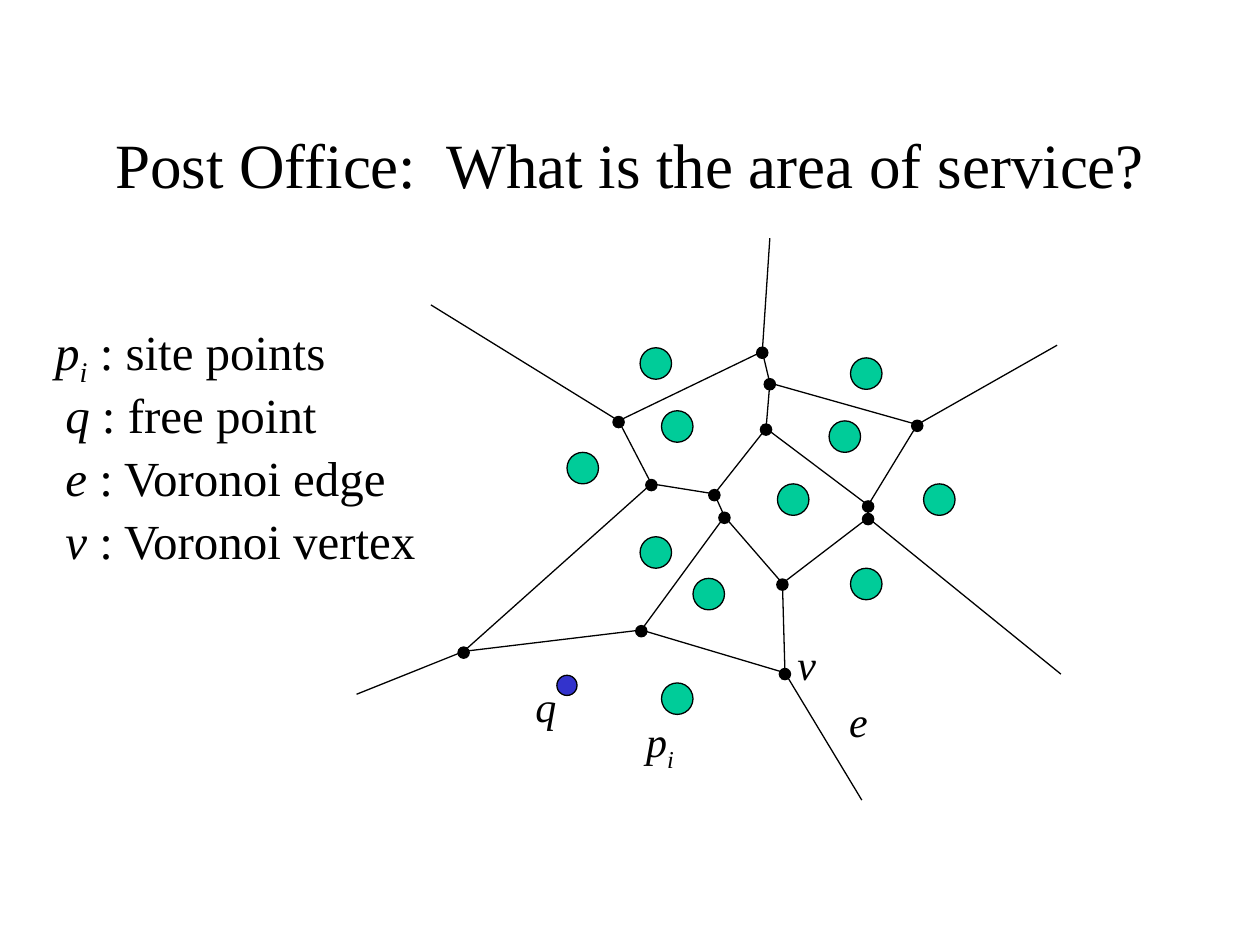
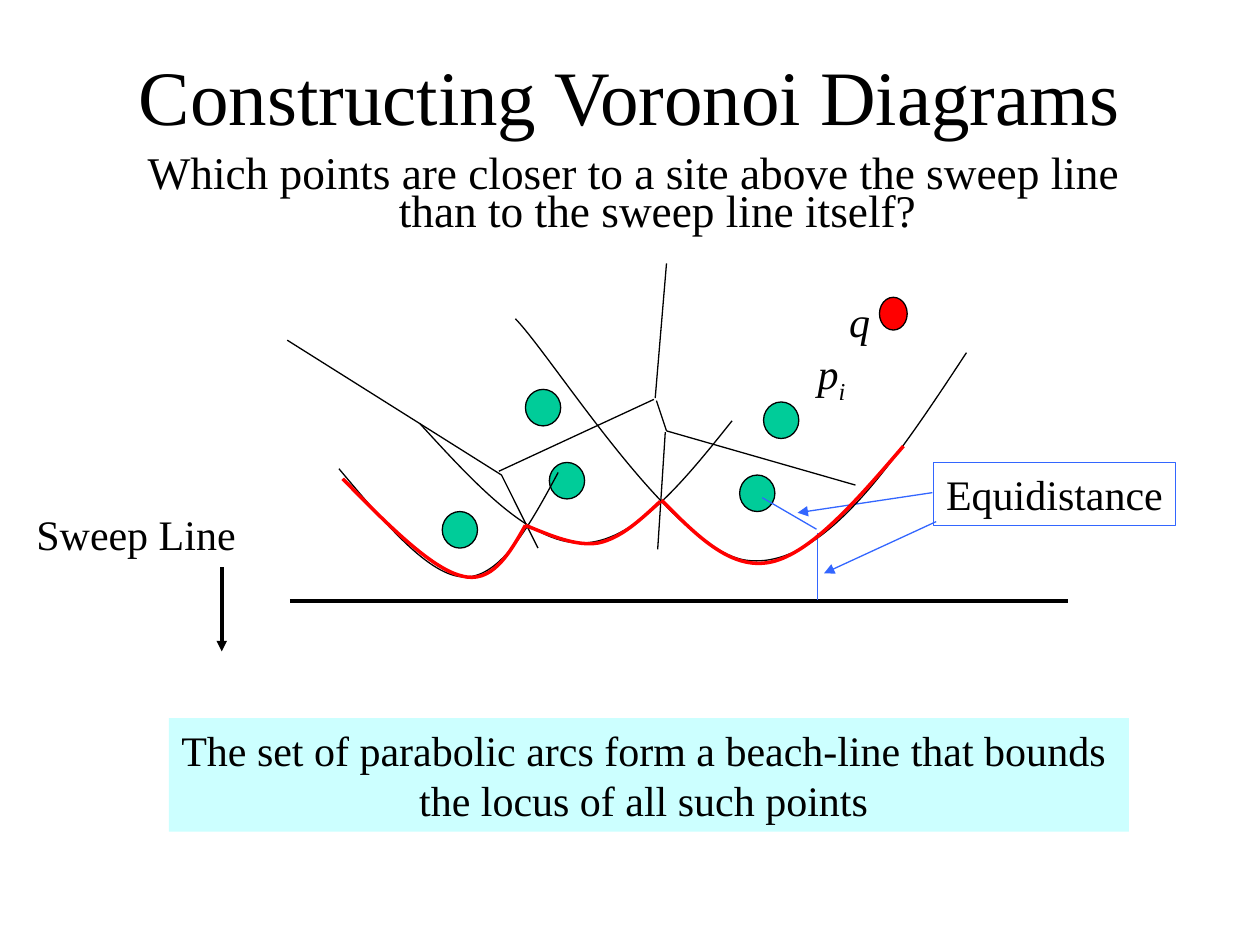
from pptx import Presentation
from pptx.dml.color import RGBColor
from pptx.enum.shapes import MSO_CONNECTOR, MSO_SHAPE
from pptx.enum.text import MSO_ANCHOR, MSO_AUTO_SIZE, PP_ALIGN
from pptx.oxml.ns import qn
from pptx.util import Inches, Pt
from lxml import etree

LINE, OVAL = MSO_CONNECTOR.STRAIGHT, MSO_SHAPE.OVAL
LEFT, MID = PP_ALIGN.LEFT, PP_ALIGN.CENTER
TOP, CENTER = MSO_ANCHOR.TOP, MSO_ANCHOR.MIDDLE
GROW, FIXED = MSO_AUTO_SIZE.SHAPE_TO_FIT_TEXT, MSO_AUTO_SIZE.NONE
FONT = "Times New Roman"
COLORS = {"ink": "000000", "site": "00CC99", "free": "3333CC", "beach": "FF0000",
          "note": "3366FF", "band": "CCFFFF"}

VERTS = {
    "a": (3.25, 0.99), "b": (3.31, 1.24), "c": (3.28, 1.6), "d": (2.87, 2.12),
    "f": (2.95, 2.3), "g": (3.41, 2.83), "h": (4.09, 2.31), "i": (4.09, 2.21),
    "j": (2.11, 1.54), "k": (2.37, 2.04), "l": (0.88, 3.37), "m": (2.29, 3.2),
    "n": (3.43, 3.54), "o": (4.48, 1.57),
}
ENDS = {"P": (0.62, 0.62), "Q": (0.03, 3.71), "R": (4.04, 4.55),
        "S": (5.62, 3.55), "T": (5.59, 0.94), "U": (3.31, 0.09)}
EDGES = "ab bc cd df fg gh hi ic Pj jk kl lQ lm mf kd mn ng ja nR hS bo io oT aU"
SITES = [(2.45, 3.62), (2.7, 2.79), (3.37, 2.04), (3.95, 2.71), (4.53, 2.04), (3.78, 1.54),
         (3.95, 1.04), (2.28, 2.46), (1.7, 1.79), (2.45, 1.46), (2.28, 0.96)]

RAYS = [((3.09, 1.42), (3.01, 1.18)), ((0.08, 0.7), (1.78, 1.77)), ((1.78, 1.77), (2.07, 2.35)),
        ((3.02, 2.36), (3.08, 1.43)), ((1.76, 1.74), (2.99, 1.17)), ((3.09, 1.42), (4.59, 1.85)),
        ((3, 1.16), (3.09, 0.09))]
SPOTS = [(3.67, 1.77), (3.86, 1.19), (1.31, 2.06), (2.16, 1.67), (1.97, 1.09)]
ARCS = [
    [(0.49, 1.72), (0.85, 2.15), (1.21, 2.58), (1.49, 2.58), (1.78, 2.58), (2.01, 2.16), (2.23, 1.75)],
    [(5.47, 0.8), (4.91, 1.65), (4.35, 2.5), (3.75, 2.45), (3.16, 2.41), (2.2, 0.85), (1.89, 0.53)],
    [(1.13, 1.36), (1.57, 1.84), (2, 2.31), (2.41, 2.31), (2.83, 2.31), (3.22, 1.83), (3.61, 1.34)],
]
BEACH = [
    [(3.05, 1.97), (3.33, 2.25), (3.6, 2.53), (3.92, 2.46), (4.24, 2.39), (4.61, 1.96), (4.97, 1.54)],
    [(0.52, 1.8), (0.87, 2.16), (1.22, 2.51), (1.46, 2.57), (1.7, 2.64), (1.84, 2.4), (1.97, 2.17)],
    [(1.97, 2.17), (2.17, 2.25), (2.37, 2.34), (2.55, 2.31), (2.73, 2.27), (2.88, 2.13), (3.04, 1.98)],
]
SPANS = [((3.85, 1.95), (4.28, 2.2)), ((4.29, 2.23), (4.29, 2.76))]
HINTS = [((5.2, 1.91), (4.13, 2.07)), ((5.23, 2.14), (4.34, 2.55))]


def color(name):
    """Return a named colour."""
    return RGBColor.from_string(COLORS[name])


def shift(box, point):
    """Move a point from the box to the slide."""
    return box[0] + point[0], box[1] + point[1]


def stroke(shape, name, width=0.75):
    """Set the outline."""
    shape.line.color.rgb = color(name)
    shape.line.width = Pt(width)


def text(slide, box, runs, size=24, align=LEFT, wrap=False, anchor=TOP, fit=GROW):
    """Add one paragraph of (words, style) runs: i italic, s subscript, b break."""
    shape = slide.shapes.add_textbox(*map(Inches, box))
    frame = shape.text_frame
    frame.word_wrap, frame.auto_size, frame.vertical_anchor = wrap, fit, anchor
    para = frame.paragraphs[0]
    para.alignment = align
    for words, style in runs:
        if "b" in style:
            para.add_line_break()
        run = para.add_run()
        run.text = words
        run.font.name, run.font.size = FONT, Pt(size)
        run.font.color.rgb = color("ink")
        run.font.italic = "i" in style
        if "s" in style:
            run.font._element.set("baseline", "-25000")
    return shape


def title(slide, box, words, size):
    """Add the slide title."""
    text(slide, box, [(words, "")], size, MID, True, CENTER, FIXED)


def dot(slide, box, point, wide, high, fill, edge=True):
    """Add an ellipse by its top left corner."""
    shape = slide.shapes.add_shape(OVAL, *map(Inches, (*shift(box, point), wide, high)))
    shape.shadow.inherit = False
    shape.fill.solid()
    shape.fill.fore_color.rgb = color(fill)
    if edge:
        stroke(shape, "ink")
    else:
        shape.line.fill.background()


def line(slide, box, start, end, name="ink", width=0.75, arrow=False):
    """Add a straight line, with an arrowhead if asked."""
    ends = [Inches(n) for n in shift(box, start) + shift(box, end)]
    link = slide.shapes.add_connector(LINE, *ends)
    stroke(link, name, width)
    if arrow:
        etree.SubElement(link.line._get_or_add_ln(), qn("a:tailEnd"), type="triangle")
    etree.SubElement(link._element.spPr, qn("a:effectLst"))


def curve(slide, box, knots, name="ink", width=0.75):
    """Draw a chain of cubic curves, three knots after the first for each."""
    marks = [tuple(map(Inches, shift(box, knot))) for knot in knots]
    pen = slide.shapes.build_freeform(*marks[0])
    pen.add_line_segments(marks[1:], close=False)
    shape = pen.convert_to_shape()
    steps = list(shape._element.iter(qn("a:lnTo")))
    trace = steps[0].getparent()
    for first in range(0, len(steps), 3):
        cubic = etree.SubElement(trace, qn("a:cubicBezTo"))
        for step in steps[first:first + 3]:
            cubic.append(step[0])
            trace.remove(step)
    shape.shadow.inherit = False
    shape.fill.background()
    stroke(shape, name, width)


def label(slide, box, point, wide, high, runs):
    """Add a short label in a figure."""
    return text(slide, (*shift(box, point), wide, high), runs)


def legend(slide, box):
    """List the symbols."""
    left, top = box
    text(slide, (left - 0.08, top, 2.4, 0.63),
         [("p", "i"), ("i", "is"), (" : site points", "")], 28, wrap=True)
    rows = [("q", "free point"), ("e", "Voronoi edge"), ("v", "Voronoi vertex")]
    for n, (sign, name) in enumerate(rows, 1):
        shape = text(slide, (left, top + n * 0.5, 3.08, 0.57),
                     [(sign, "i"), (f" : {name}", "")], 28, wrap=True)
        shape.text_frame.paragraphs[0].space_before = Pt(7)


def diagram(slide, box):
    """Draw the Voronoi diagram."""
    nodes = VERTS | ENDS
    for start, end in EDGES.split():
        line(slide, box, nodes[start], nodes[end])
    for x, y in VERTS.values():
        dot(slide, box, (x - 0.05, y - 0.04), 0.1, 0.1, "ink", False)
    for site in SITES:
        dot(slide, box, site, 0.25, 0.25, "site")
    dot(slide, box, (1.62, 3.56), 0.16, 0.16, "free")
    label(slide, box, (1.35, 3.55), 0.36, 0.5, [("q", "i")])
    label(slide, box, (3.84, 3.67), 0.35, 0.5, [("e", "i")])
    label(slide, box, (3.43, 3.22), 0.35, 0.5, [("v", "i")])
    label(slide, box, (2.23, 3.83), 0.42, 0.56, [("p", "i"), ("i", "is")])


def query(slide, box):
    """Ask the question under the title."""
    words = "Which points are closer to a site above the sweep line than to the sweep line itself?"
    shape = text(slide, box, [(words, "")], 25.9, MID, True, fit=FIXED)
    para = shape.text_frame.paragraphs[0]
    para.line_spacing, para.space_before = 0.7, Pt(7)
    props = para._p.get_or_add_pPr()
    props.set("marL", str(Inches(0.38)))
    props.set("indent", str(Inches(-0.38)))


def sweep(slide, box):
    """Draw the sweep line and its direction."""
    line(slide, box, (2.11, 0.78), (8.29, 0.78), width=2)
    line(slide, box, (1.57, 0.51), (1.57, 1.18), width=2, arrow=True)
    label(slide, box, (0, 0), 1.78, 0.5, [("Sweep Line", "")])


def shore(slide, box):
    """Draw sites, parabolic arcs and the beach-line."""
    for start, end in RAYS:
        line(slide, box, start, end)
    for spot in SPOTS:
        dot(slide, box, spot, 0.28, 0.29, "site")
    label(slide, box, (4.19, 0.71), 0.42, 0.56, [("p", "i"), ("i", "is")])
    label(slide, box, (4.44, 0.3), 0.36, 0.5, [("q", "i")])
    dot(slide, box, (4.78, 0.36), 0.22, 0.26, "beach")
    for start, end in SPANS:
        line(slide, box, start, end, "note")
    for start, end in HINTS:
        line(slide, box, start, end, "note", arrow=True)
    stroke(label(slide, box, (5.21, 1.67), 1.92, 0.5, [("Equidistance", "")]), "note")
    for arc in ARCS:
        curve(slide, box, arc)
    for arc in BEACH:
        curve(slide, box, arc, "beach", 2)


def banner(slide, box):
    """State the result in a band."""
    runs = [("The set of parabolic arcs form a beach-line that bounds ", ""),
            ("the locus of all such points ", "b")]
    shape = text(slide, box, runs, align=MID)
    shape.fill.solid()
    shape.fill.fore_color.rgb = color("band")


def main():
    """Build both slides."""
    deck = Presentation()
    deck.slide_width, deck.slide_height = Inches(10), Inches(7.5)
    blank = deck.slide_layouts[6]
    area = deck.slides.add_slide(blank)
    title(area, (0.75, 0.67, 8.5, 1.25), "Post Office:  What is the area of service?", 36)
    legend(area, (0.42, 2.5))
    diagram(area, (2.8, 1.8))
    build = deck.slides.add_slide(blank)
    title(build, (0.75, 0.13, 8.5, 1.25), "Constructing Voronoi Diagrams", 44)
    query(build, (0.78, 1.21, 8.5, 0.74))
    sweep(build, (0.19, 3.99))
    shore(build, (2.2, 2))
    banner(build, (1.34, 5.7, 7.62, 0.9))
    deck.save("out.pptx")


if __name__ == "__main__":
    main()
